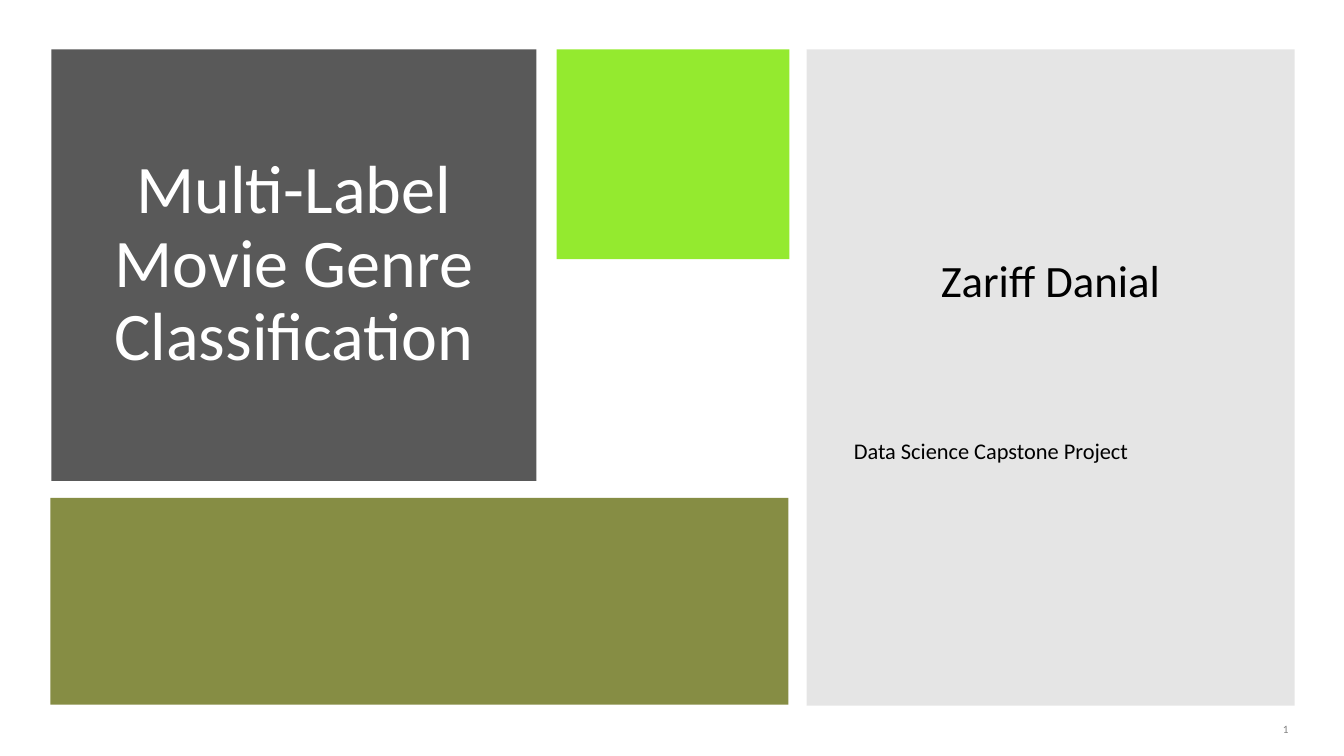
from lxml import etree
from pptx import Presentation
from pptx.dml.color import RGBColor
from pptx.enum.shapes import MSO_SHAPE as SHAPE
from pptx.enum.text import MSO_ANCHOR as ANCHOR, PP_ALIGN as ALIGN
from pptx.oxml.ns import qn
from pptx.util import Inches, Pt

FONT = "Calibri"
WHITE = RGBColor(0xFF, 0xFF, 0xFF)
BLACK = RGBColor(0, 0, 0)
GRAY = RGBColor(0x80, 0x80, 0x80)
CHARCOAL = RGBColor(0x59, 0x59, 0x59)
LIME = RGBColor(0x94, 0xEA, 0x2F)
OLIVE = RGBColor(0x86, 0x8D, 0x44)


def inset(box, dx, dy):
    """Shrink a box by dx on the left and right and dy at the top and bottom."""
    x, y, w, h = box
    return x + dx, y + dy, w - 2 * dx, h - 2 * dy


def add_block(s, box, color, opacity=None):
    """Add a borderless rectangle; opacity is a percentage."""
    sp = s.shapes.add_shape(SHAPE.RECTANGLE, *map(Inches, box))
    sp.shadow.inherit = False
    sp.fill.solid()
    sp.fill.fore_color.rgb = color
    sp.line.fill.background()
    if opacity is not None:
        clr = sp.fill._xPr.find(".//" + qn("a:srgbClr"))
        etree.SubElement(clr, qn("a:alpha")).set("val", str(opacity * 1000))


def add_frame(s, box, margins=(0.1, 0.05, 0.1, 0.05)):
    """Add a wrapped, vertically centred text box and return its frame."""
    tf = s.shapes.add_textbox(*map(Inches, box)).text_frame
    tf.word_wrap = True
    tf.vertical_anchor = ANCHOR.MIDDLE
    (tf.margin_left, tf.margin_top,
     tf.margin_right, tf.margin_bottom) = map(Inches, margins)
    return tf


def write(p, text, size, color=BLACK, align=ALIGN.LEFT, spacing=0.9, before=0):
    p.alignment = align
    p.line_spacing = spacing
    p.space_before = Pt(before)
    r = p.add_run()
    r.text = text
    r.font.name = FONT
    r.font.size = Pt(size)
    r.font.color.rgb = color


def add_title_block(s, box):
    add_block(s, box, CHARCOAL)
    tf = add_frame(s, inset(box, 0.35, 0.33))
    write(tf.paragraphs[0], "Multi-Label Movie Genre Classification", 48.6,
          WHITE, ALIGN.CENTER)


def add_author_panel(s, box):
    add_block(s, box, GRAY, opacity=20)
    tf = add_frame(s, inset(box, 0.37, 0.37), (0.1, 0.05, 0.1, 0.36))
    write(tf.paragraphs[0], "Zariff Danial", 32, align=ALIGN.CENTER)
    write(tf.add_paragraph(), "Data Science Capstone Project", 16, before=95)


def add_page_number(s, box):
    tf = add_frame(s, box, (0, 0, 0, 0))
    write(tf.paragraphs[0], "1", 8, GRAY, ALIGN.RIGHT, spacing=1.25)


def main():
    prs = Presentation()
    prs.slide_width, prs.slide_height = Inches(13.33), Inches(7.5)
    s = prs.slides.add_slide(prs.slide_layouts[6])

    top = 0.49
    add_page_number(s, (12, 7.14, 0.78, 0.15))
    add_title_block(s, (0.51, top, 4.81, 4.28))
    add_block(s, (5.52, top, 2.31, 2.08), LIME)
    add_block(s, (0.5, 4.94, 7.32, 2.05), OLIVE)
    add_author_panel(s, (8, top, 4.84, 6.51))
    prs.save("out.pptx")


if __name__ == "__main__":
    main()
